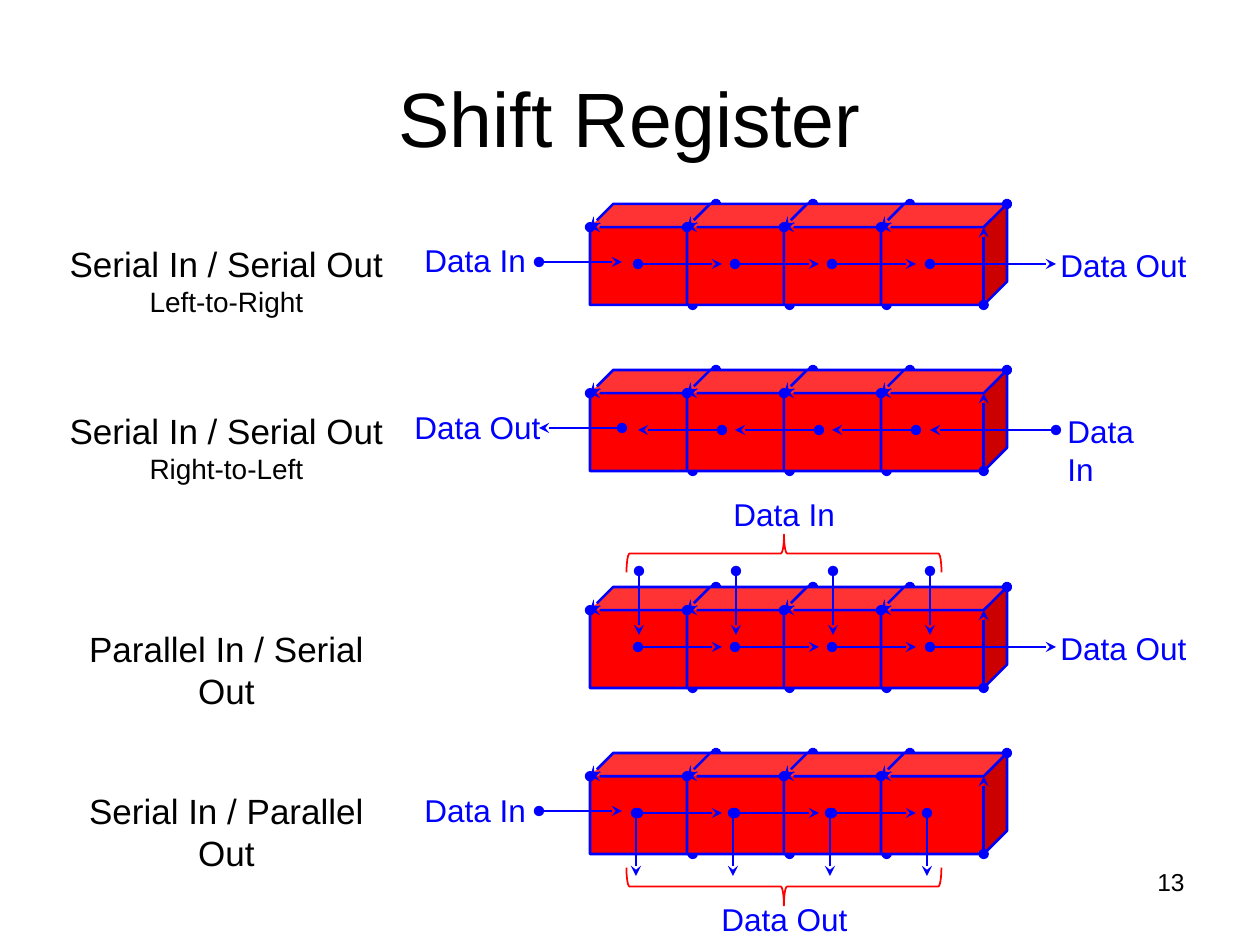
"""Build the shift register slide."""
import lxml.etree
import pptx
import pptx.dml.color
import pptx.enum.shapes
import pptx.enum.text
import pptx.oxml.ns
import pptx.util

BLACK = pptx.dml.color.RGBColor(0x00, 0x00, 0x00)
BLUE = pptx.dml.color.RGBColor(0x00, 0x00, 0xFF)
RED = pptx.dml.color.RGBColor(0xFF, 0x00, 0x00)
SHAPES = pptx.enum.shapes.MSO_SHAPE
ALIGN = pptx.enum.text.PP_ALIGN
STAGE_LEFTS = range(590, 882, 97)


def px(length):
    return pptx.util.Emu(round(length * 914400 / 126))


class Diagram:
    """Draw styled elements on one slide."""

    def __init__(self, slide, font="Arial"):
        self.slide = slide
        self.font = font

    def format_text(self, paragraph, size, color, align):
        paragraph.alignment = align
        for run in paragraph.runs:
            run.font.name = self.font
            run.font.size = pptx.util.Pt(size)
            run.font.color.rgb = color

    def title(self, wording, left, top, width, height):
        heading = self.slide.shapes.title
        heading.left, heading.top = px(left), px(top)
        heading.width, heading.height = px(width), px(height)
        heading.text_frame.text = wording
        heading.text_frame.vertical_anchor = pptx.enum.text.MSO_ANCHOR.MIDDLE
        self.format_text(heading.text_frame.paragraphs[0], 44, BLACK, ALIGN.CENTER)

    def text(self, wording, left, top, width, height, sizes=(18,), color=BLUE, align=ALIGN.LEFT):
        box = self.slide.shapes.add_textbox(px(left), px(top), px(width), px(height))
        box.text_frame.word_wrap = False
        box.text_frame.text = wording
        for paragraph, size in zip(box.text_frame.paragraphs, sizes):
            self.format_text(paragraph, size, color, align)

    def line_ends(self, line, head, tail):
        outline = line._get_or_add_ln()
        for end, kind in (("a:headEnd", head), ("a:tailEnd", tail)):
            lxml.etree.SubElement(outline, pptx.oxml.ns.qn(end), type=kind)

    def outline(self, line, color, width):
        line.color.rgb = color
        line.width = pptx.util.Pt(width)

    def cube(self, left, top):
        stage = self.slide.shapes.add_shape(SHAPES.CUBE, px(left), px(top), px(126), px(101))
        stage.adjustments[0] = 0.23
        stage.shadow.inherit = False
        stage.fill.solid()
        stage.fill.fore_color.rgb = RED
        self.outline(stage.line, BLUE, 1.5)
        self.line_ends(stage.line, "stealth", "oval")

    def brace(self, top, rotation):
        bracket = self.slide.shapes.add_shape(SHAPES.LEFT_BRACE, px(765), px(top), px(38), px(315))
        bracket.rotation = rotation
        bracket.shadow.inherit = False
        bracket.fill.background()
        self.outline(bracket.line, RED, 1)

    def arrow(self, x1, y1, x2, y2):
        flow = self.slide.shapes.add_connector(
            pptx.enum.shapes.MSO_CONNECTOR.STRAIGHT, px(x1), px(y1), px(x2), px(y2))
        self.outline(flow.line, BLUE, 1.5)
        self.line_ends(flow.line, "oval", "stealth")
        lxml.etree.SubElement(flow._element.spPr, pptx.oxml.ns.qn("a:effectLst"))

    def register(self, top, left_port=True, right_port=True, reverse=False):
        for left in STAGE_LEFTS:
            self.cube(left, top)
        flows = [(left + 48, left + 132, top + 60) for left in STAGE_LEFTS[:-1]]
        if right_port:
            flows.append((930, 1056, top + 60))
        if left_port:
            flows.append((539, 622, top + 58))
        for start, end, y in flows:
            if reverse:
                start, end = end, start
            self.arrow(start, y, end, y)

    def parallel_arrows(self, offset, start, end):
        for left in STAGE_LEFTS:
            self.arrow(left + offset, start, left + offset, end)

    def mode(self, wording, left, top, width, height):
        self.text(wording, left, top, width, height, (20, 16), BLACK, ALIGN.CENTER)


def main():
    deck = pptx.Presentation()
    deck.slide_width, deck.slide_height = px(1260), px(945)
    diagram = Diagram(deck.slides.add_slide(deck.slide_layouts[5]))
    diagram.title("Shift Register", 63, 38, 1134, 158)
    diagram.text("13", 903, 861, 294, 66, (14,), BLACK, ALIGN.RIGHT)

    diagram.mode("Serial In / Serial Out\nLeft-to-Right", 57, 236, 339, 88)
    diagram.register(204)
    diagram.text("Data In", 412, 235, 127, 50)
    diagram.text("Data Out", 1048, 240, 151, 50)

    diagram.mode("Serial In / Serial Out\nRight-to-Left", 57, 403, 339, 88)
    diagram.register(370, reverse=True)
    diagram.text("Data Out", 402, 402, 151, 50)
    diagram.text("Data In", 1055, 406, 126, 50)

    diagram.mode("Parallel In / Serial Out", 44, 621, 365, 55)
    diagram.register(587, left_port=False)
    diagram.parallel_arrows(49, 571, 635)
    diagram.brace(396, 90)
    diagram.text("Data In", 721, 489, 127, 50)
    diagram.text("Data Out", 1048, 623, 151, 50)

    diagram.mode("Serial In / Parallel Out", 44, 783, 365, 55)
    diagram.register(753, right_port=False)
    diagram.parallel_arrows(46, 813, 876)
    diagram.brace(729, 270)
    diagram.text("Data In", 412, 785, 127, 50)
    diagram.text("Data Out", 709, 894, 151, 50)
    deck.save("out.pptx")


if __name__ == "__main__":
    main()
